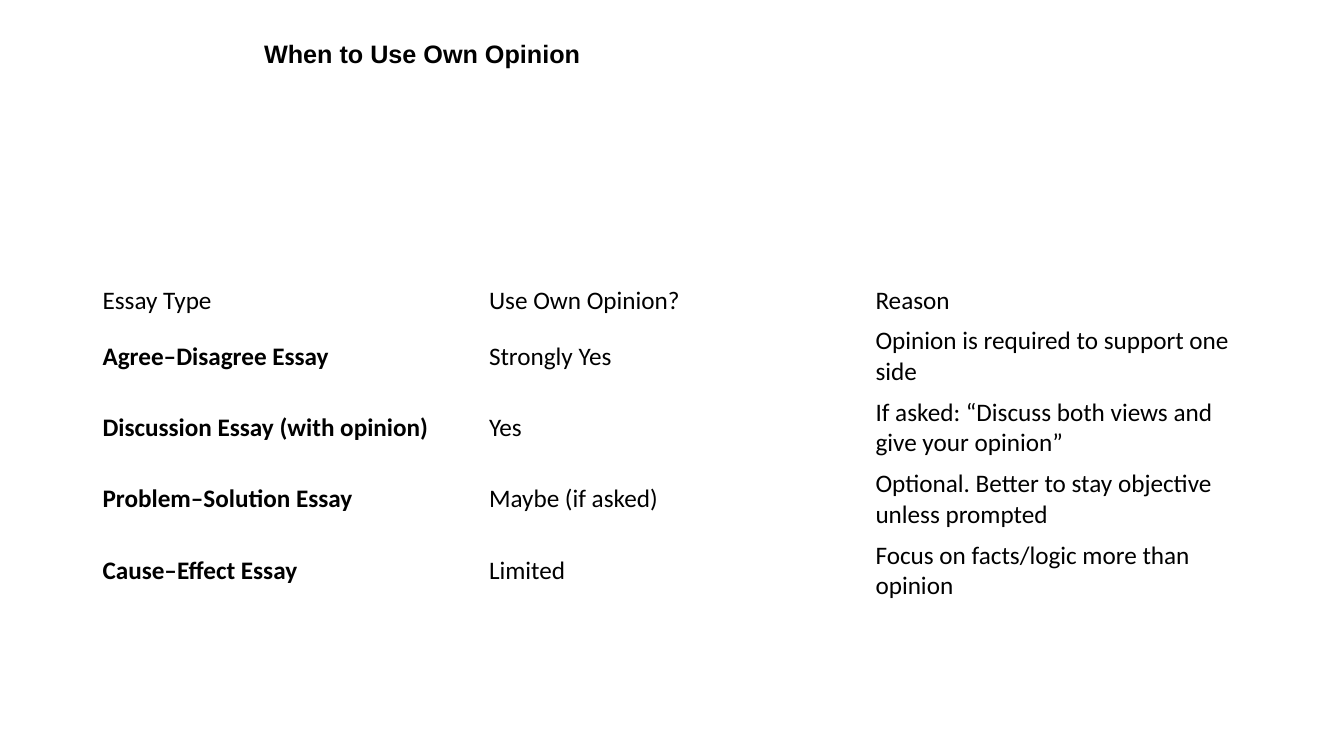
from pptx import Presentation
from pptx.dml.color import RGBColor
from pptx.enum.text import MSO_ANCHOR, MSO_AUTO_SIZE, PP_ALIGN
from pptx.util import Cm, Pt

HEADING = "When to Use Own Opinion"
ESSAY_ADVICE = [
    ("Essay Type", "Use Own Opinion?", "Reason"),
    ("Agree–Disagree Essay", "Strongly Yes", "Opinion is required to support one side"),
    ("Discussion Essay (with opinion)", "Yes",
     "If asked: “Discuss both views and give your opinion”"),
    ("Problem–Solution Essay", "Maybe (if asked)",
     "Optional. Better to stay objective unless prompted"),
    ("Cause–Effect Essay", "Limited", "Focus on facts/logic more than opinion"),
]
COLORS = {"text": "000000"}
TEXT_SIZE = Pt(18)
COLUMN_WIDTH = Cm(9.74)
HEADER_HEIGHT, ESSAY_HEIGHT = Cm(1.02), Cm(1.8)


def add_text(paragraph, text, font_name, bold):
    run = paragraph.add_run()
    run.text = text
    run.font.name = font_name
    run.font.size = TEXT_SIZE
    run.font.bold = bold
    run.font.color.rgb = RGBColor.from_string(COLORS["text"])


def add_heading(slide):
    heading = slide.shapes.title
    heading.left, heading.top = Cm(6.4), Cm(0.84)
    heading.width, heading.height = Cm(8.56), Cm(1.02)
    frame = heading.text_frame
    frame.word_wrap = False
    frame.auto_size = MSO_AUTO_SIZE.SHAPE_TO_FIT_TEXT
    frame.vertical_anchor = MSO_ANCHOR.MIDDLE
    frame.paragraphs[0].alignment = PP_ALIGN.LEFT
    add_text(frame.paragraphs[0], HEADING, "Arial", True)


def add_advice_table(slide):
    row_count, column_count = len(ESSAY_ADVICE), len(ESSAY_ADVICE[0])
    table = slide.shapes.add_table(
        row_count, column_count, Cm(2.33), Cm(7.06),
        COLUMN_WIDTH * column_count,
        HEADER_HEIGHT + ESSAY_HEIGHT * (row_count - 1)).table
    table.first_row = False
    table.horz_banding = False
    for column in table.columns:
        column.width = COLUMN_WIDTH
    for r, advice in enumerate(ESSAY_ADVICE):
        table.rows[r].height = ESSAY_HEIGHT if r else HEADER_HEIGHT
        for c, text in enumerate(advice):
            cell = table.cell(r, c)
            cell.fill.background()
            cell.vertical_anchor = MSO_ANCHOR.MIDDLE
            add_text(cell.text_frame.paragraphs[0], text, "Calibri",
                     bold=r > 0 and c == 0)


def main():
    deck = Presentation()
    deck.slide_width, deck.slide_height = Cm(33.87), Cm(19.05)
    slide = deck.slides.add_slide(deck.slide_layouts.get_by_name("Title Only"))
    add_advice_table(slide)
    add_heading(slide)
    deck.save("out.pptx")


if __name__ == "__main__":
    main()
